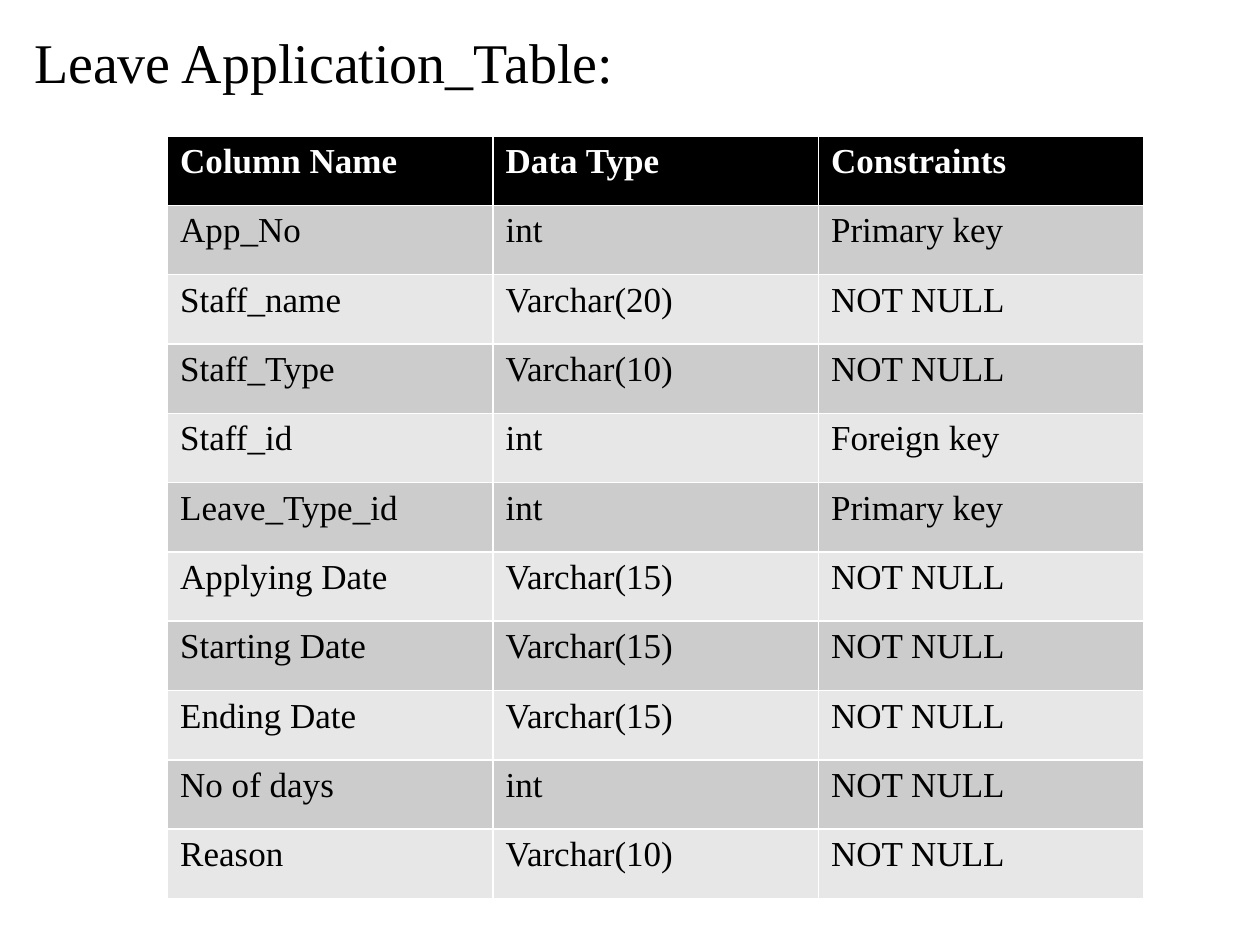
from pptx import Presentation
from pptx.dml.color import RGBColor
from pptx.enum import text as t
from pptx.util import Inches, Pt

TITLE = "Leave Application_Table:"
HEAD = ("Column Name", "Data Type", "Constraints")
FIELDS = [
    ("App_No", "int", "Primary key"),
    ("Staff_name", "Varchar(20)", "NOT NULL"),
    ("Staff_Type", "Varchar(10)", "NOT NULL"),
    ("Staff_id", "int", "Foreign key"),
    ("Leave_Type_id", "int", "Primary key"),
    ("Applying Date", "Varchar(15)", "NOT NULL"),
    ("Starting Date", "Varchar(15)", "NOT NULL"),
    ("Ending Date", "Varchar(15)", "NOT NULL"),
    ("No of days", "int", "NOT NULL"),
    ("Reason", "Varchar(10)", "NOT NULL"),
]
THEME = {
    "font": "Times New Roman",
    "title": 32,
    "cell": 20,
    "ink": "000000",
    "paper": "FFFFFF",
    "bands": ("E7E7E7", "CCCCCC"),
}


def style(para, size, color, bold=False):
    font = para.font
    font.name = THEME["font"]
    font.size = Pt(size)
    font.bold = bold
    font.color.rgb = RGBColor.from_string(color)


def add_title(slide):
    title = slide.shapes.title
    title.left, title.top = Inches(0.17), Inches(0.17)
    title.width, title.height = Inches(5.08), Inches(0.64)
    frame = title.text_frame
    frame.text = TITLE
    frame.word_wrap = False
    frame.auto_size = t.MSO_AUTO_SIZE.SHAPE_TO_FIT_TEXT
    frame.vertical_anchor = t.MSO_ANCHOR.TOP
    para = frame.paragraphs[0]
    para.alignment = t.PP_ALIGN.LEFT
    style(para, THEME["title"], THEME["ink"])


def add_fields(slide):
    rows = [HEAD] + FIELDS
    grid = slide.shapes.add_table(
        len(rows), len(HEAD), Inches(1.33), Inches(1.08),
        Inches(7.75), Inches(0.55 * len(rows))).table
    for r, row in enumerate(rows):
        head = r == 0
        fill = THEME["ink"] if head else THEME["bands"][r % 2]
        color = THEME["paper"] if head else THEME["ink"]
        for c, label in enumerate(row):
            cell = grid.cell(r, c)
            cell.text = label
            cell.fill.solid()
            cell.fill.fore_color.rgb = RGBColor.from_string(fill)
            style(cell.text_frame.paragraphs[0], THEME["cell"], color, head)


def main():
    deck = Presentation()
    deck.slide_width, deck.slide_height = Inches(10), Inches(7.5)
    slide = deck.slides.add_slide(deck.slide_layouts[5])
    add_fields(slide)
    add_title(slide)
    deck.save("out.pptx")


if __name__ == "__main__":
    main()
